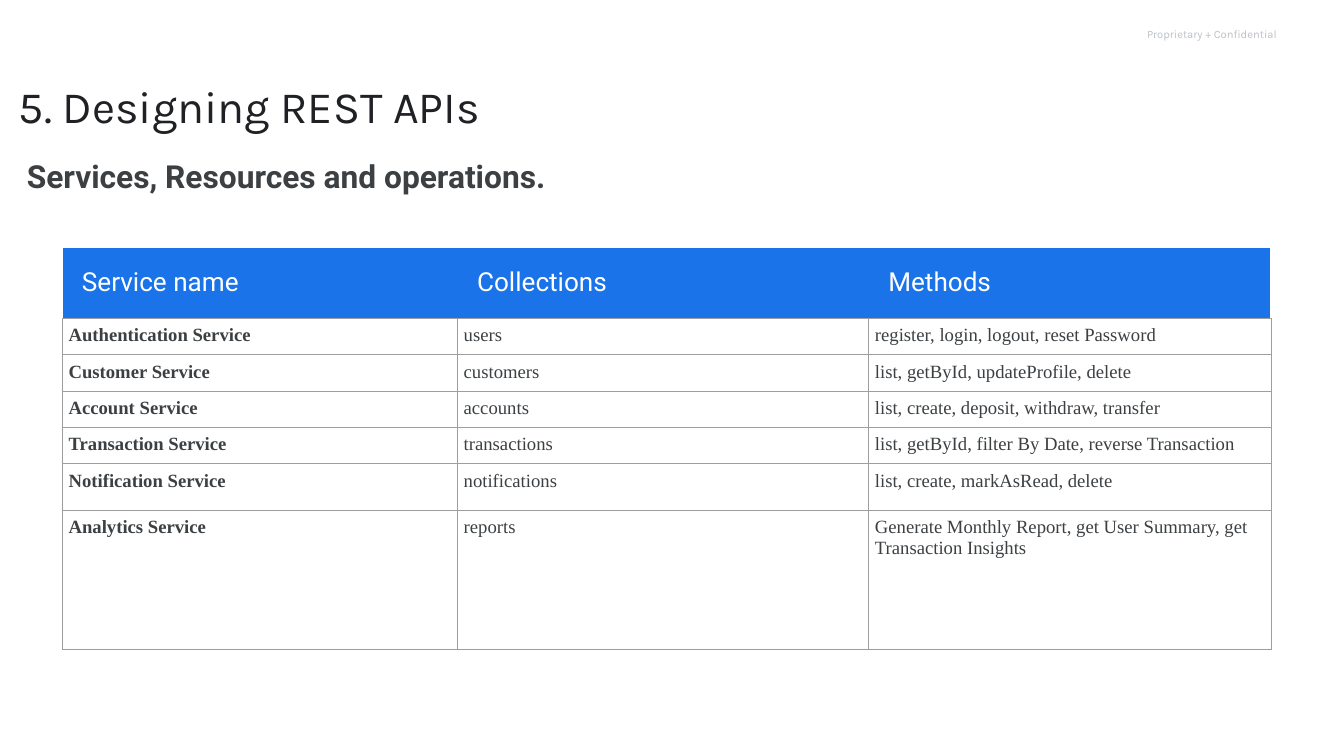
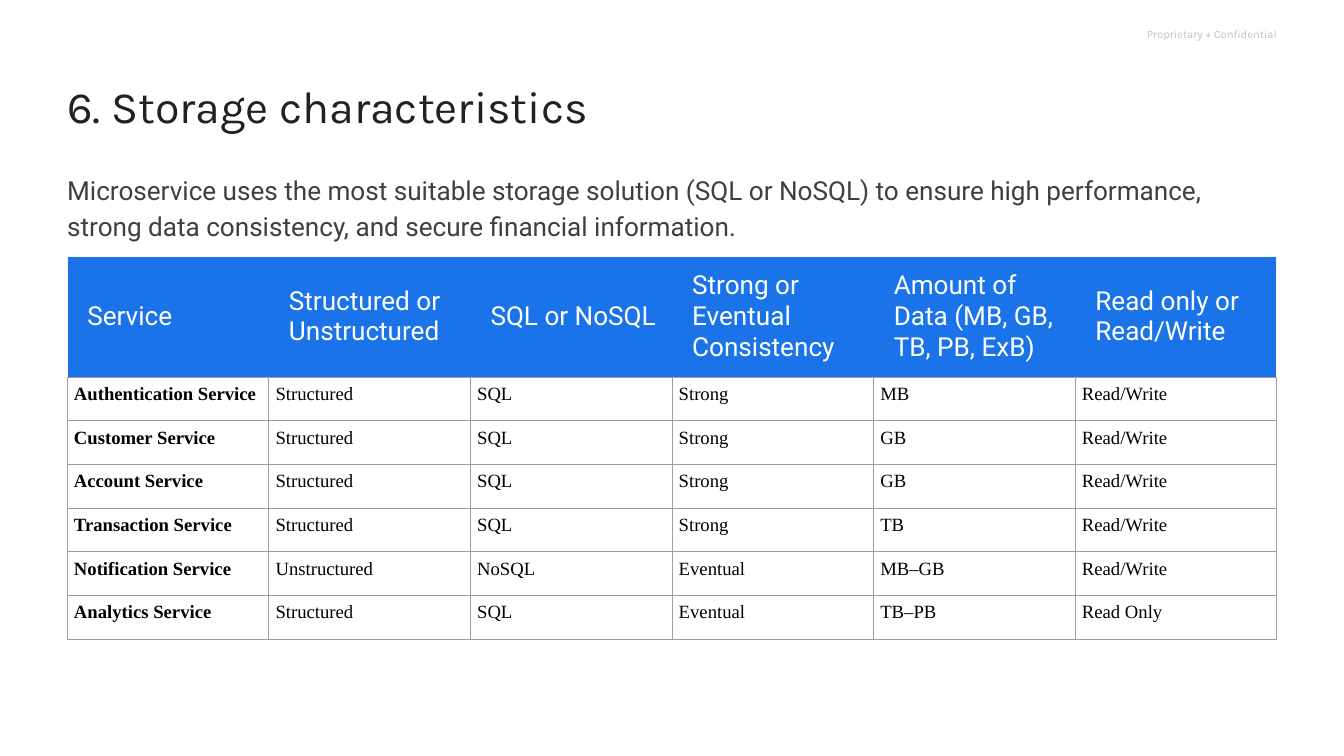
from lxml.etree import SubElement
from pptx import Presentation
from pptx.dml.color import RGBColor
from pptx.enum.text import MSO_ANCHOR as Anchor, PP_ALIGN as Align
from pptx.oxml.ns import qn
from pptx.util import Inches, Pt

WIDTH, HEIGHT = 20, 11.25
MARGIN = WIDTH / 20
BLUE, WHITE, BLACK = "1A73E8", "FFFFFF", "000000"
INK, BODY, MUTED, GRID = "202124", "3C4043", "BDC1C6", "9E9E9E"
HEADING_FONT, BODY_FONT, CELL_FONT = "Karla", "Roboto", "Times New Roman"
THIN, THICK = (GRID, 0.75), (WHITE, 3)

SERVICES = ["Authentication Service", "Customer Service", "Account Service",
            "Transaction Service", "Notification Service", "Analytics Service"]
API_HEAD = ["Service name", "Collections", "Methods"]
API_ROWS = [
    ["users", "register, login, logout, reset Password"],
    ["customers", "list, getById, updateProfile, delete"],
    ["accounts", "list, create, deposit, withdraw, transfer"],
    ["transactions", "list, getById, filter By Date, reverse Transaction"],
    ["notifications", "list, create, markAsRead, delete"],
    ["reports", "Generate Monthly Report, get User Summary, get Transaction Insights"],
]
STORAGE_HEAD = ["Service", "Structured or Unstructured", "SQL or NoSQL",
                "Strong or Eventual Consistency", "Amount of Data (MB, GB, TB, PB, ExB)",
                "Read only or Read/Write"]
STORAGE_ROWS = [
    ["Structured", "SQL", "Strong", "MB", "Read/Write"],
    ["Structured", "SQL", "Strong", "GB", "Read/Write"],
    ["Structured", "SQL", "Strong", "GB", "Read/Write"],
    ["Structured", "SQL", "Strong", "TB", "Read/Write"],
    ["Unstructured", "NoSQL", "Eventual", "MB–GB", "Read/Write"],
    ["Structured", "SQL", "Eventual", "TB–PB", "Read Only"],
]


def rgb(value):
    """Turn a hex string into a colour."""
    return RGBColor.from_string(value)


def set_font(p, name, size, color, bold=False):
    """Style a whole paragraph."""
    font = p.font
    font.name, font.size, font.bold = name, Pt(size), bold
    font.color.rgb = rgb(color)


def set_margins(box, left, top, right, bottom):
    """Set the inner margins of a text frame or cell."""
    box.margin_left, box.margin_top = Inches(left), Inches(top)
    box.margin_right, box.margin_bottom = Inches(right), Inches(bottom)


def add_text(s, area, text, name, size, color, bold=False, spacing=None,
             align=Align.LEFT, anchor=Anchor.TOP):
    """Add a wrapped text box without margins."""
    tf = s.shapes.add_textbox(*map(Inches, area)).text_frame
    tf.word_wrap, tf.vertical_anchor = True, anchor
    set_margins(tf, 0, 0, 0, 0)
    p = tf.paragraphs[0]
    p.text, p.alignment, p.line_spacing = text, align, spacing
    set_font(p, name, size, color, bold)


def set_borders(cell, left, right, top, bottom):
    """Draw the four cell borders; None hides one."""
    tc_pr = cell._tc.get_or_add_tcPr()
    for side, border in zip("LRTB", (left, right, top, bottom)):
        ln = SubElement(tc_pr, qn(f"a:ln{side}"))
        if border is None:
            SubElement(ln, qn("a:noFill"))
            continue
        color, width = border
        ln.set("w", str(Pt(width)))
        SubElement(SubElement(ln, qn("a:solidFill")), qn("a:srgbClr")).set("val", color)


def fill_header(cell, text, padding, first, last):
    """Style a blue column heading."""
    set_borders(cell, THICK if first else None, THICK if last else None, THICK, THIN)
    cell.fill.solid()
    cell.fill.fore_color.rgb = rgb(BLUE)
    cell.vertical_anchor = Anchor.MIDDLE
    set_margins(cell, *padding)
    cell.text = text
    set_font(cell.text_frame.paragraphs[0], BODY_FONT, 28, WHITE)


def fill_body(cell, text, color, bold):
    """Style a ruled body cell."""
    set_borders(cell, THIN, THIN, THIN, THIN)
    cell.fill.background()
    set_margins(cell, 0.1, 0.1, 0.1, 0.1)
    cell.text = text
    set_font(cell.text_frame.paragraphs[0], CELL_FONT, 20, color, bold)


def add_service_table(s, left, top, widths, heights, head, rows, color, padding):
    """Add a table with one row for each service."""
    frame = s.shapes.add_table(len(heights), len(widths), Inches(left), Inches(top),
                               Inches(sum(widths)), Inches(sum(heights)))
    table = frame.table
    table.first_row = table.horz_banding = False
    for column, width in zip(table.columns, widths):
        column.width = Inches(width)
    for row, height in zip(table.rows, heights):
        row.height = Inches(height)
    for c, text in enumerate(head):
        fill_header(table.cell(0, c), text, padding, c == 0, c == len(head) - 1)
    for r, (service, values) in enumerate(zip(SERVICES, rows), 1):
        for c, text in enumerate([service, *values]):
            fill_body(table.cell(r, c), text, color, c == 0)


def add_slide(prs, title, left):
    """Add a blank slide with its confidentiality mark and title."""
    s = prs.slides.add_slide(prs.slide_layouts[6])
    mark_width = 4.21
    add_text(s, (WIDTH - MARGIN - mark_width, 0, mark_width, 1.01),
             "Proprietary + Confidential", HEADING_FONT, 12, MUTED,
             align=Align.RIGHT, anchor=Anchor.MIDDLE)
    add_text(s, (left, 1.01, WIDTH * 0.6, 1.25), title, HEADING_FONT, 48, INK, spacing=1.2)
    return s


def add_api_slide(prs):
    """Build the REST API slide."""
    s = add_slide(prs, "5. Designing REST APIs", 0.28)
    add_service_table(s, 0.92, 3.67, [5.88, 6.12, 6], [1.07] + [0.54] * 4 + [0.69, 2.08],
                      API_HEAD, API_ROWS, BODY, (0.3, 0.12, 0.1, 0.12))
    add_text(s, (0.4, 2.25, 9.08, 0.67), "Services, Resources and operations.",
             BODY_FONT, 34, BODY, bold=True, spacing=1.15)


def add_storage_slide(prs):
    """Build the storage slide."""
    s = add_slide(prs, "6. Storage characteristics", MARGIN)
    column = (WIDTH - 2 * MARGIN) / len(STORAGE_HEAD)
    add_service_table(s, MARGIN, 3.81, [column] * len(STORAGE_HEAD),
                      [1.53] + [0.65] * len(SERVICES), STORAGE_HEAD, STORAGE_ROWS,
                      BLACK, (0.3, 0.2, 0.2, 0.2))
    add_text(s, (MARGIN, 2.53, WIDTH - 2 * MARGIN, 1.05),
             "Microservice uses the most suitable storage solution (SQL or NoSQL) to ensure "
             "high performance, strong data consistency, and secure financial information.",
             BODY_FONT, 28, BODY, spacing=1.15)


def main():
    """Build and save the deck."""
    prs = Presentation()
    prs.slide_width, prs.slide_height = Inches(WIDTH), Inches(HEIGHT)
    add_api_slide(prs)
    add_storage_slide(prs)
    prs.save("out.pptx")


if __name__ == "__main__":
    main()
